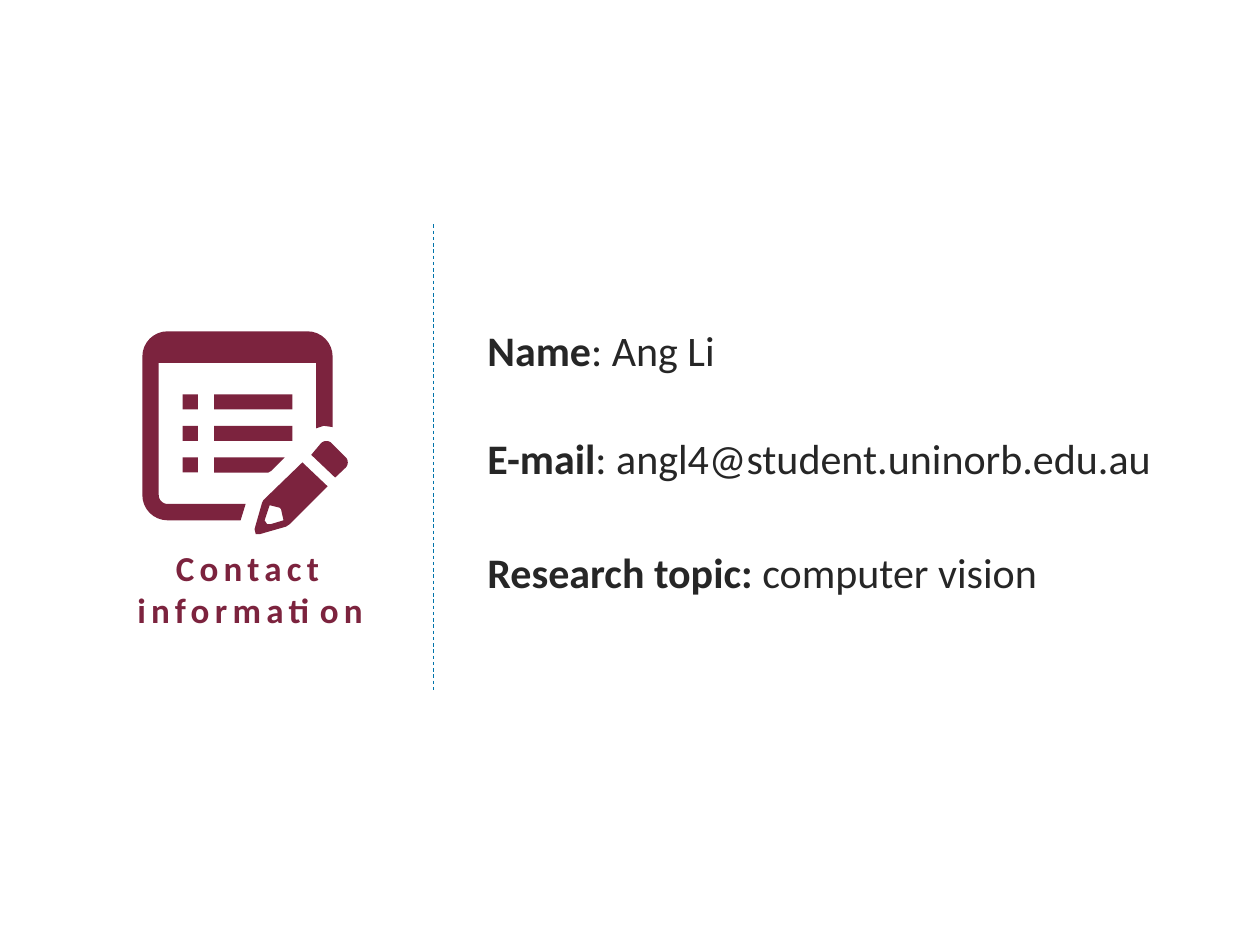
from math import cos, radians, sin

from lxml.etree import SubElement
from pptx import Presentation
from pptx.dml.color import RGBColor
from pptx.enum.dml import MSO_LINE
from pptx.enum.shapes import MSO_CONNECTOR, MSO_SHAPE
from pptx.enum.text import MSO_ANCHOR, MSO_AUTO_SIZE, PP_ALIGN
from pptx.oxml.ns import qn
from pptx.util import Inches, Pt

COLORS = {"accent": "7C233E", "text": "262626", "divider": "0174AB"}
FONT = "Calibri"


def arc(cx, cy, radius, start, end, steps=8):
    """Points along a circle, with angles in degrees clockwise from the right."""
    angles = [radians(start + (end - start) * i / steps) for i in range(steps + 1)]
    return [(cx + radius * cos(a), cy + radius * sin(a)) for a in angles]


class SlideBuilder:
    def __init__(self, slide):
        self.slide = slide
        self.icon = slide.shapes.add_group_shape()

    def color(self, name):
        return RGBColor.from_string(COLORS[name])

    def add_run(self, paragraph, text, size, color, bold):
        run = paragraph.add_run()
        run.text = text
        run.font.name = FONT
        run.font.size = Pt(size)
        run.font.bold = bold
        run.font.color.rgb = self.color(color)
        return run

    def title(self, text, left, top, width, height):
        title = self.slide.shapes.title
        title.left, title.top = Inches(left), Inches(top)
        title.width, title.height = Inches(width), Inches(height)
        frame = title.text_frame
        frame.word_wrap = True
        frame.auto_size = MSO_AUTO_SIZE.NONE
        frame.vertical_anchor = MSO_ANCHOR.TOP
        paragraph = frame.paragraphs[0]
        paragraph.alignment = PP_ALIGN.CENTER
        run = self.add_run(paragraph, text, 20, "accent", True)
        run.font._element.set("spc", "300")

    def detail(self, label, value, left, top, width, height=0.5):
        box = self.slide.shapes.add_textbox(
            Inches(left), Inches(top), Inches(width), Inches(height))
        frame = box.text_frame
        frame.word_wrap = True
        frame.auto_size = MSO_AUTO_SIZE.SHAPE_TO_FIT_TEXT
        paragraph = frame.paragraphs[0]
        self.add_run(paragraph, label, 24, "text", True)
        self.add_run(paragraph, value, 24, "text", False)

    def divider(self, x, top, bottom):
        line = self.slide.shapes.add_connector(
            MSO_CONNECTOR.STRAIGHT, Inches(x), Inches(top), Inches(x), Inches(bottom))
        line.line.color.rgb = self.color("divider")
        line.line.width = Pt(0.5)
        line.line.dash_style = MSO_LINE.DASH
        SubElement(line._element.spPr, qn("a:effectLst"))

    def paint(self, shape):
        shape.fill.solid()
        shape.fill.fore_color.rgb = self.color("accent")
        shape.line.fill.background()
        shape.shadow.inherit = False

    def icon_bar(self, left, top, width, height):
        self.paint(self.icon.shapes.add_shape(
            MSO_SHAPE.RECTANGLE, Inches(left), Inches(top), Inches(width), Inches(height)))

    def icon_outline(self, *contours):
        """Draw closed contours as one filled shape; later contours cut holes."""
        scaled = [[(Inches(x), Inches(y)) for x, y in contour] for contour in contours]
        builder = self.icon.shapes.build_freeform(*scaled[0][0], scale=1.0)
        builder.add_line_segments(scaled[0][1:], close=True)
        for hole in scaled[1:]:
            builder.move_to(*hole[0])
            builder.add_line_segments(hole[1:], close=True)
        self.paint(builder.convert_to_shape())


def draw_notepad(page):
    page.icon_outline(
        [(1.95, 4), (1.91, 4.13)]
        + arc(1.33, 3.93, 0.2, 90, 180)
        + arc(1.33, 2.83, 0.2, 180, 270)
        + arc(2.44, 2.83, 0.2, 270, 360)
        + [(2.64, 3.39), (2.57, 3.38), (2.51, 3.4), (2.51, 2.88), (1.26, 2.88)]
        + arc(1.33, 3.93, 0.07, 180, 90))
    for row in range(3):
        top = 3.13 + 0.25 * row
        page.icon_bar(1.45, top, 0.12, 0.12)
        if row < 2:
            page.icon_bar(1.7, top, 0.62, 0.12)
    page.icon_outline(
        [(1.7, 3.63), (2.26, 3.63), (2.15, 3.74), (2.13, 3.75), (1.7, 3.75)])


def draw_pencil(page):
    body = [(2.4, 3.67), (2.6, 3.86), (2.3, 4.16), (2.27, 4.18), (2.06, 4.24),
            (2.03, 4.24), (2.02, 4.2), (2.08, 3.99), (2.09, 3.97)]
    tip = [(2.14, 4.01), (2.1, 4.13), (2.12, 4.16), (2.15, 4.16),
           (2.25, 4.13), (2.23, 4.04), (2.22, 4.03)]
    page.icon_outline(body, tip)
    page.icon_outline(
        [(2.47, 3.61)]
        + arc(2.59, 3.56, 0.06, 225, 315)
        + arc(2.7, 3.67, 0.06, 315, 405)
        + [(2.66, 3.79)])


def main():
    prs = Presentation()
    prs.slide_width, prs.slide_height = Inches(10), Inches(7.5)
    page = SlideBuilder(prs.slides.add_slide(prs.slide_layouts[5]))

    page.divider(3.44, 1.78, 5.48)
    draw_notepad(page)
    draw_pencil(page)
    page.title("Contact information", 0.53, 4.29, 2.91, 0.77)

    page.detail("Name", ": Ang Li", 3.77, 2.53, 5.28)
    page.detail("E-mail", ": angl4@student.uninorb.edu.au", 3.77, 3.38, 6.23)
    page.detail("Research topic: ", "computer vision", 3.77, 4.29, 6.23)

    prs.save("out.pptx")


if __name__ == "__main__":
    main()
